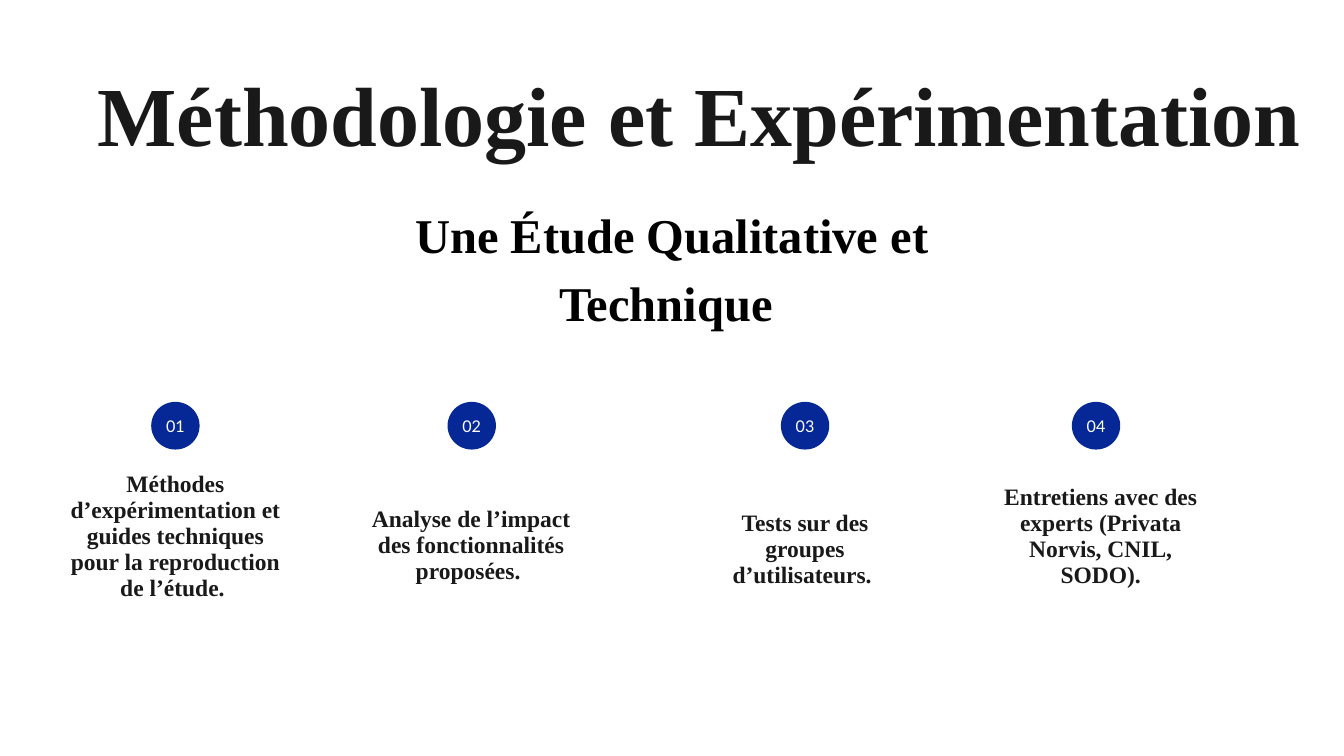
from dataclasses import dataclass

from pptx import Presentation
from pptx.dml.color import RGBColor
from pptx.enum.shapes import MSO_SHAPE
from pptx.enum.text import MSO_ANCHOR, MSO_AUTO_SIZE, PP_ALIGN
from pptx.util import Inches, Pt

CENTER = PP_ALIGN.CENTER
MIDDLE = MSO_ANCHOR.MIDDLE
GROW = MSO_AUTO_SIZE.SHAPE_TO_FIT_TEXT
OVAL = MSO_SHAPE.OVAL
BLANK_LAYOUT = 6
COLUMNS, ROWS = 20, 11.25


@dataclass(frozen=True)
class TextStyle:
    font: str
    size: float
    leading: float
    color: RGBColor
    bold: bool = True


@dataclass(frozen=True)
class Theme:
    badge_fill: RGBColor = RGBColor(0x05, 0x28, 0x96)
    title: TextStyle = TextStyle("Times New Roman", 90, 108, RGBColor(0x19, 0x19, 0x19))
    subtitle: TextStyle = TextStyle("Times New Roman", 52, 72.8, RGBColor(0, 0, 0))
    step: TextStyle = TextStyle("Times New Roman", 25.2, 27.8, RGBColor(0x19, 0x19, 0x19))
    number: TextStyle = TextStyle("Lato", 17.3, 20.7, RGBColor(0xFF, 0xFF, 0xFF), False)


class SlideBuilder:
    """Places elements on a grid of COLUMNS by ROWS."""

    def __init__(self, deck, theme):
        self.theme = theme
        self.slide = deck.slides.add_slide(deck.slide_layouts[BLANK_LAYOUT])
        self.column = deck.slide_width / COLUMNS
        self.row = deck.slide_height / ROWS

    def area(self, left, top, width, height):
        return (round(left * self.column), round(top * self.row),
                round(width * self.column), round(height * self.row))

    def fill_frame(self, frame, wording, style):
        frame.margin_left = frame.margin_right = 0
        frame.margin_top = frame.margin_bottom = 0
        frame.word_wrap = True
        frame.text = wording
        paragraph = frame.paragraphs[0]
        paragraph.alignment = CENTER
        paragraph.line_spacing = Pt(style.leading)
        font = paragraph.runs[0].font
        font.name = style.font
        font.size = Pt(style.size)
        font.bold = style.bold
        font.color.rgb = style.color

    def text(self, wording, style, *place):
        frame = self.slide.shapes.add_textbox(*self.area(*place)).text_frame
        self.fill_frame(frame, wording, style)
        frame.auto_size = GROW

    def badge(self, number, *place):
        disc = self.slide.shapes.add_shape(OVAL, *self.area(*place))
        disc.shadow.inherit = False
        disc.fill.solid()
        disc.fill.fore_color.rgb = self.theme.badge_fill
        disc.line.fill.background()
        self.fill_frame(disc.text_frame, f"{number:02d}", self.theme.number)
        disc.text_frame.vertical_anchor = MIDDLE


# Badge left, text left, text top, text height, wording
STEPS = [
    (2.25, 1.04, 7.02, 1.98, "Méthodes d’expérimentation et guides techniques "
                             "pour la reproduction de l’étude. "),
    (6.66, 5.44, 7.53, 1.21, "Analyse de l’impact des fonctionnalités proposées. "),
    (11.62, 10.41, 7.6, 0.83, "Tests sur des groupes d’utilisateurs. "),
    (15.95, 14.81, 7.21, 1.6, "Entretiens avec des experts (Privata Norvis, CNIL, SODO)."),
]
BADGE_TOP, BADGE_WIDTH, BADGE_HEIGHT = 5.98, 0.72, 0.71
STEP_WIDTH = 3.14


def main():
    deck = Presentation()
    deck.slide_width, deck.slide_height = Inches(20), Inches(11.25)
    theme = Theme()
    builder = SlideBuilder(deck, theme)

    builder.text("Méthodologie et Expérimentation", theme.title, 1.41, 0.93, 18, 1.7)
    for number, (badge_left, left, top, height, wording) in enumerate(STEPS, start=1):
        builder.badge(number, badge_left, BADGE_TOP, BADGE_WIDTH, BADGE_HEIGHT)
        builder.text(wording, theme.step, left, top, STEP_WIDTH, height)
    builder.text("Une Étude Qualitative et Technique ", theme.subtitle,
                 4.55, 2.91, 10.9, 1.08)

    deck.save("out.pptx")


if __name__ == "__main__":
    main()
